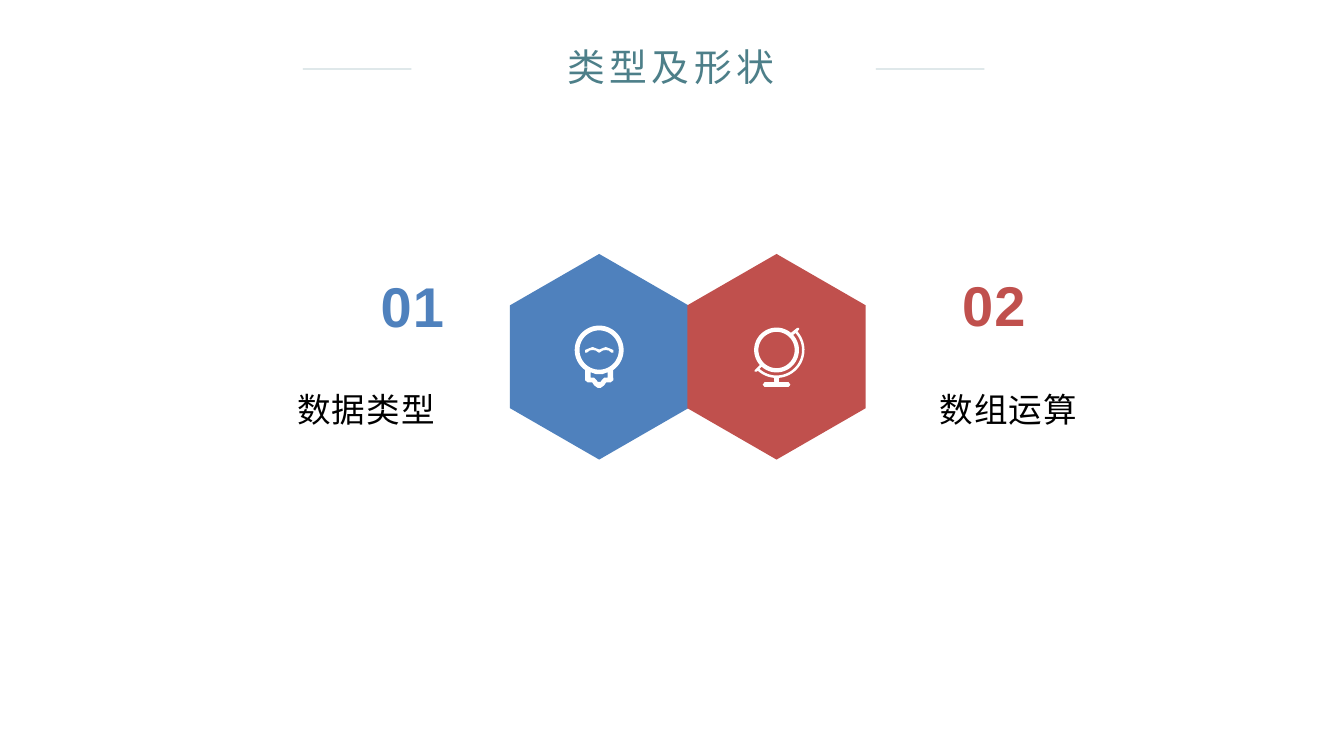
"""Build the slide on types and shapes: a title and two hexagon topics."""
from dataclasses import dataclass
from math import cos, radians, sin

from lxml import etree
from pptx import Presentation
from pptx.dml.color import RGBColor
from pptx.enum import shapes, text
from pptx.oxml import ns
from pptx.util import Cm, Pt

Point = tuple[float, float]
Outline = list[Point]
GRID = Cm(2.54) / 100


@dataclass(frozen=True)
class Theme:
    """Colours, fonts and type sizes of the slide."""

    teal: str = "4D7F89"
    blue: str = "4F81BD"
    red: str = "C0504D"
    white: str = "FFFFFF"
    black: str = "000000"
    chinese: str = "Noto Sans CJK SC"
    latin: str = "Arial"
    title: float = 54
    caption: float = 48
    number: float = 80


THEME = Theme()


@dataclass(frozen=True)
class Box:
    """Left, top, width and height in centimetres."""

    left: float
    top: float
    width: float
    height: float

    def lengths(self) -> list[int]:
        """Return the four lengths for python-pptx."""
        return [Cm(v) for v in (self.left, self.top, self.width, self.height)]


@dataclass(frozen=True)
class Style:
    """Look of one paragraph."""

    font: str
    size: float
    colour: str
    align: text.PP_ALIGN
    tracking: float
    leading: float = 1.0
    bold: bool = False


@dataclass(frozen=True)
class Topic:
    """One hexagon with its icon, number and caption."""

    number: str
    caption: str
    colour: str
    centre: float
    icon: list[Outline]
    number_box: Box
    caption_box: Box
    caption_align: text.PP_ALIGN


def arc(radius: float, start: int, end: int) -> Outline:
    """Return points along an arc around the origin, clockwise in degrees."""
    steps = max(8, abs(end - start) // 5)
    angles = [radians(start + (end - start) * i / steps) for i in range(steps + 1)]
    return [(radius * cos(a), radius * sin(a)) for a in angles]


def mirrored(half: Outline) -> Outline:
    """Return a left half outline followed by its reflection."""
    return half + [(-x, y) for x, y in reversed(half)]


HEXAGON = mirrored([(0, 204), (-177, 102), (-177, -102), (0, -204)])
BULB = [
    arc(48.5, 125, 415) + mirrored(
        [(28, 60), (23, 64), (14, 64), (10, 70), (3, 75)]),
    arc(39, 0, 360),
    mirrored([(-1, 5), (-7, 1), (-13, 0), (-19, 1), (-24, 5), (-28, 5),
              (-28, 0), (-21, -3), (-13, -6), (-5, -3), (0, -1)]),
    mirrored([(-6, 48), (-17, 44), (-17, 55), (-10, 55), (-5, 60), (-3, 63)]),
]
GLOBE = [
    arc(44.5, 138, 310) + [(41, -44), (45, -44), (45, -41), (41.5, -37)]
    + arc(55.5, -42, 85)
    + mirrored([(4.5, 64), (24, 64), (27.5, 69), (24, 73)])
    + arc(55.5, 95, 132) + [(-39.5, 43), (-43.5, 43), (-43.5, 40)],
    arc(50.5, -42, 132) + arc(44.5, 132, -42),
    arc(36, 0, 360),
]
TOPICS = [
    Topic("01", "数据类型", THEME.blue, 30.2, BULB, Box(16.84, 13.21, 5.79, 5.08),
          Box(12.14, 18.44, 10.29, 3.94), text.PP_ALIGN.RIGHT),
    Topic("02", "数组运算", THEME.red, 39.14, GLOBE, Box(46.15, 13.18, 5.79, 5.08),
          Box(46.84, 18.44, 10.74, 3.94), text.PP_ALIGN.LEFT),
]


def write(frame, words: str, style: Style) -> None:
    """Put one styled paragraph into a text frame."""
    frame.word_wrap = True
    paragraph = frame.paragraphs[0]
    paragraph.text = words
    paragraph.alignment = style.align
    paragraph.line_spacing = style.leading
    font = paragraph.font
    font.name, font.size, font.bold = style.font, Pt(style.size), style.bold
    font.color.rgb = RGBColor.from_string(style.colour)
    properties = paragraph._p.get_or_add_pPr().get_or_add_defRPr()
    properties.set("spc", str(round(style.tracking * 100)))
    etree.SubElement(properties, ns.qn("a:ea"), typeface=style.font)


def draw_outlines(slide, outlines: list[Outline], x: float, y: float, colour: str) -> None:
    """Draw closed outlines around a centre as one filled shape."""
    scaled = [[(px * GRID, py * GRID) for px, py in line] for line in outlines]
    builder = slide.shapes.build_freeform(*scaled[0][0])
    builder.add_line_segments(scaled[0][1:])
    for line in scaled[1:]:
        builder.move_to(*line[0])
        builder.add_line_segments(line[1:])
    shape = builder.convert_to_shape(Cm(x), Cm(y))
    shape.shadow.inherit = False
    shape.fill.solid()
    shape.fill.fore_color.rgb = RGBColor.from_string(colour)
    shape.line.fill.background()


def draw_rule(slide, left: float) -> None:
    """Draw a half-transparent rule beside the title."""
    y = Cm(3.48)
    rule = slide.shapes.add_connector(
        shapes.MSO_CONNECTOR.STRAIGHT, Cm(left), y, Cm(left + 5.46), y)
    rule.line.width = Pt(1)
    rule.line.color.rgb = RGBColor.from_string(THEME.teal)
    colour = rule.line._ln.find(".//" + ns.qn("a:srgbClr"))
    etree.SubElement(colour, ns.qn("a:alpha"), val="50000")
    etree.SubElement(rule._element.spPr, ns.qn("a:effectLst"))


def draw_title(slide) -> None:
    """Place and fill the title placeholder."""
    title = slide.shapes.title
    title.left, title.top, title.width, title.height = Box(22.28, 2.06, 23.06, 2.57).lengths()
    title.text_frame.vertical_anchor = text.MSO_ANCHOR.TOP
    title.text_frame.auto_size = text.MSO_AUTO_SIZE.SHAPE_TO_FIT_TEXT
    write(title.text_frame, "类型及形状",
          Style(THEME.chinese, THEME.title, THEME.teal, text.PP_ALIGN.CENTER, 6.6))


def draw_topic(slide, topic: Topic) -> None:
    """Draw a topic's hexagon, icon, number and caption."""
    draw_outlines(slide, [HEXAGON], topic.centre, 17.98, topic.colour)
    draw_outlines(slide, topic.icon, topic.centre, 17.64, THEME.white)
    number = slide.shapes.add_textbox(*topic.number_box.lengths()).text_frame
    write(number, topic.number, Style(THEME.latin, THEME.number, topic.colour,
                                      text.PP_ALIGN.RIGHT, 1.5, 1.1, True))
    caption = slide.shapes.add_textbox(*topic.caption_box.lengths()).text_frame
    caption.vertical_anchor = text.MSO_ANCHOR.MIDDLE
    caption.margin_left = caption.margin_right = Cm(0.51)
    caption.margin_top = caption.margin_bottom = Cm(0.25)
    write(caption, topic.caption, Style(THEME.chinese, THEME.caption, THEME.black,
                                        topic.caption_align, 1.5, 1.2))


def main() -> None:
    """Build and save the slide."""
    deck = Presentation()
    deck.slide_width, deck.slide_height = Cm(67.74), Cm(38.1)
    slide = deck.slides.add_slide(deck.slide_layouts[5])
    draw_title(slide)
    for left in (15.27, 44.15):
        draw_rule(slide, left)
    for topic in TOPICS:
        draw_topic(slide, topic)
    deck.save("out.pptx")


if __name__ == "__main__":
    main()
